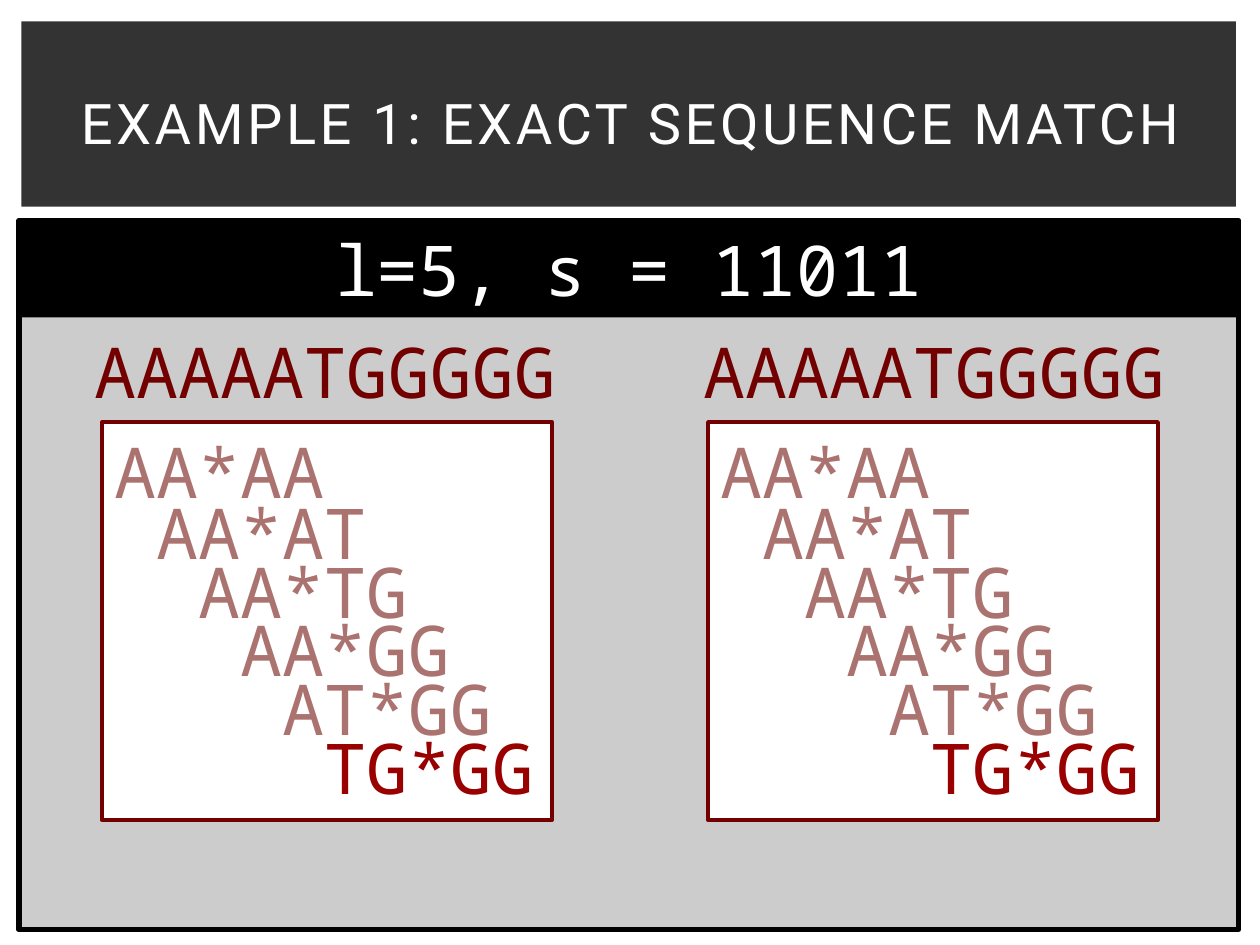
from pptx import Presentation
from pptx.dml.color import RGBColor
from pptx.enum.shapes import MSO_SHAPE
from pptx.enum.text import MSO_ANCHOR, PP_ALIGN
from pptx.util import Inches, Pt

COLORS = {
    "white": "FFFFFF",
    "black": "000000",
    "banner": "333333",
    "panel": "CCCCCC",
    "sequence": "730000",
    "match": "990000",
    "faded": "AB7370",
}
MONO = "Noto Sans Mono"
SEQUENCE = "AAAAATGGGGG"
WORDS = ["AA*AA", "AA*AT", "AA*TG", "AA*GG", "AT*GG", "TG*GG"]

presentation = Presentation()
presentation.slide_width = Inches(10)
presentation.slide_height = Inches(7.5)
column = presentation.slide_width / 100
row = presentation.slide_height / 75
letter_width = Pt(24)

slide = presentation.slides.add_slide(presentation.slide_layouts[5])
title = slide.shapes.title


def add_box(left, top, width, height, fill=None, line=None, line_width=0):
    shape = slide.shapes.add_shape(
        MSO_SHAPE.RECTANGLE,
        int(left * column), int(top * row), int(width * column), int(height * row),
    )
    shape.shadow.inherit = False
    if fill:
        shape.fill.solid()
        shape.fill.fore_color.rgb = RGBColor.from_string(COLORS[fill])
    else:
        shape.fill.background()
    if line:
        shape.line.color.rgb = RGBColor.from_string(COLORS[line])
        shape.line.width = Pt(line_width)
    else:
        shape.line.fill.background()
    shape.text_frame.word_wrap = True
    shape.text_frame.vertical_anchor = MSO_ANCHOR.TOP
    return shape


def add_text(paragraph, text, color, align=PP_ALIGN.CENTER, font=MONO, size=40):
    paragraph.alignment = align
    run = paragraph.add_run()
    run.text = text
    run.font.name = font
    run.font.size = Pt(size)
    run.font.color.rgb = RGBColor.from_string(COLORS[color])
    return run


banner = add_box(1.7, 1.7, 96.4, 14.7, "banner")
banner_element = banner.element
title.element.addprevious(banner_element)
title.left, title.top = int(4.2 * column), int(3.9 * row)
title.width, title.height = int(91.7 * column), int(11.5 * row)
title.text_frame.word_wrap = True
title.text_frame.vertical_anchor = MSO_ANCHOR.MIDDLE
title_run = add_text(
    title.text_frame.paragraphs[0], "EXAMPLE 1: EXACT SEQUENCE MATCH", "white",
    font="Roboto", size=32,
)
title_run.font._element.set("spc", "200")

add_box(1.5, 17.5, 96.8, 56.3, "panel", "black", 3)
header = add_box(1.5, 17.5, 96.8, 7.7, "black")
add_text(header.text_frame.paragraphs[0], "l=5, s = 11011", "white")

for sequence_left, words_left in [(4.2, 8.1), (52.5, 56.2)]:
    sequence = add_box(sequence_left, 25.6, 43.3, 7.7)
    add_text(sequence.text_frame.paragraphs[0], SEQUENCE, "sequence")

    words_box = add_box(words_left, 33.5, 35.7, 31.6, "white", "sequence", 2.25)
    frame = words_box.text_frame
    for step, word in enumerate(WORDS):
        paragraph = frame.add_paragraph() if step else frame.paragraphs[0]
        if step:
            paragraph.line_spacing = 0.7
        properties = paragraph._p.get_or_add_pPr()
        properties.set("marL", str(step * letter_width))
        properties.set("indent", "0")
        color = "match" if word == WORDS[-1] else "faded"
        add_text(paragraph, word, color, PP_ALIGN.LEFT)

presentation.save("out.pptx")
